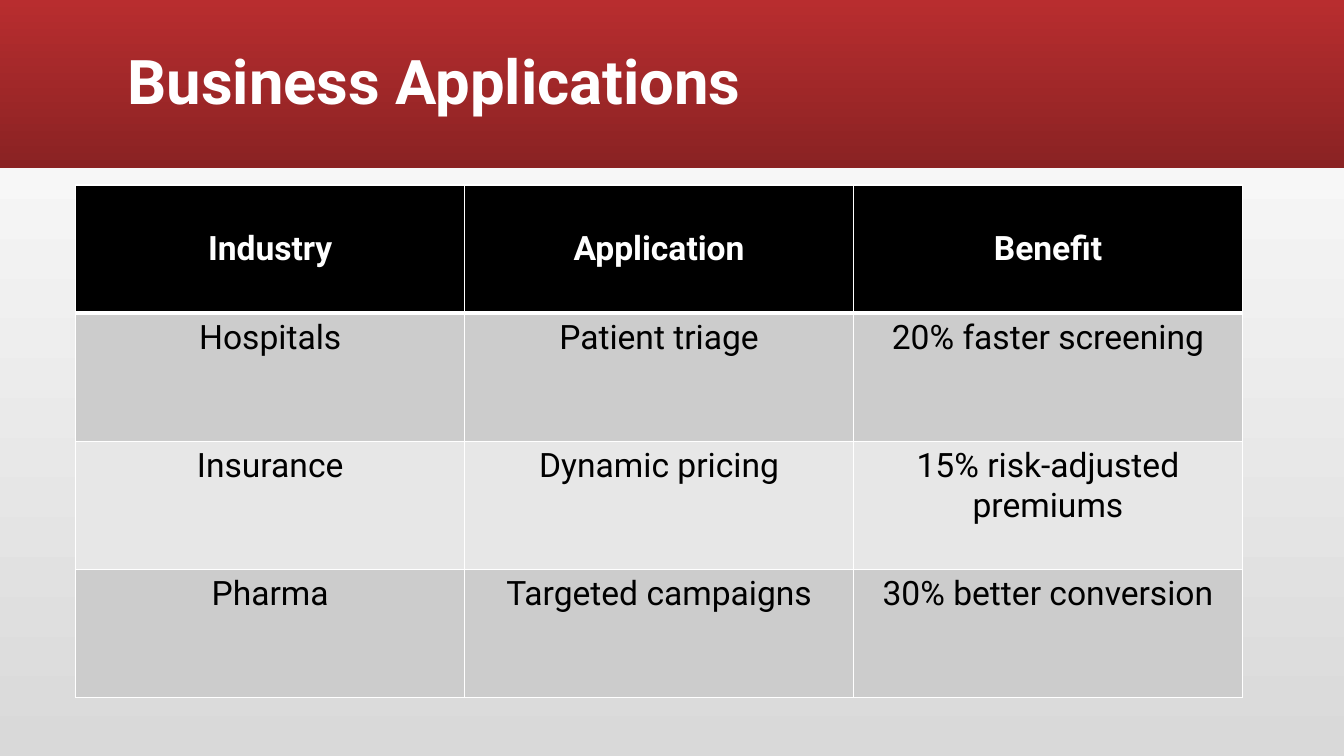
from lxml.etree import SubElement
from pptx import Presentation
from pptx.dml.color import RGBColor
from pptx.enum.shapes import MSO_SHAPE
from pptx.enum.text import MSO_ANCHOR, PP_ALIGN
from pptx.oxml.ns import qn
from pptx.util import Cm, Pt

TITLE = "Business Applications"
ROWS = [
    ("Industry", "Application", "Benefit"),
    ("Hospitals", "Patient triage", "20% faster screening"),
    ("Insurance", "Dynamic pricing", "15% risk-adjusted premiums"),
    ("Pharma", "Targeted campaigns", "30% better conversion"),
]
HEAD, BANDS = "000000", ("CCCCCC", "E7E7E7")
WIDE, HIGH, BAND = Cm(33.87), Cm(19.05), Cm(4.23)
TITLE_BOX = Cm(2.96), Cm(0.28), Cm(27.94), Cm(3.68)
LEFT, TOP, COL, ROW = Cm(1.91), Cm(4.66), Cm(9.8), Cm(3.23)
TITLE_FONT = {"name": "Roboto", "size": Pt(44), "bold": True}
HEAD_FONT = {"name": "Roboto", "size": Pt(24), "bold": True}
BODY_FONT = {**HEAD_FONT, "bold": False}


def paint(part, shade):
    """Give a fill or a font one solid colour."""
    fill = getattr(part, "fill", part)
    fill.solid()
    fill.fore_color.rgb = RGBColor.from_string(shade)


def blend(fill, shades, angle):
    fill.gradient()
    fill.gradient_angle = angle
    for stop, shade, place in zip(fill.gradient_stops, shades, (0, 1)):
        stop.color.rgb = RGBColor.from_string(shade)
        stop.position = place


def write(frame, text, style, shade, align):
    line = frame.paragraphs[0]
    line.alignment = align
    run = line.add_run()
    run.text = text
    for key, value in style.items():
        setattr(run.font, key, value)
    paint(run.font, shade)
    return line


def edge(cell, side, points):
    """Draw one white border; call before the cell is filled."""
    props = cell._tc.get_or_add_tcPr()
    line = SubElement(props, qn(f"a:{side}"), w=str(Pt(points)))
    solid = SubElement(line, qn("a:solidFill"))
    SubElement(solid, qn("a:srgbClr"), val="FFFFFF")


def main():
    deck = Presentation()
    deck.slide_width, deck.slide_height = WIDE, HIGH
    slide = deck.slides.add_slide(deck.slide_layouts[6])
    blend(slide.background.fill, ("D9D9D9", "FFFFFF"), 90)

    band = slide.shapes.add_shape(MSO_SHAPE.RECTANGLE, 0, 0, WIDE, BAND)
    band.shadow.inherit = False
    band.line.fill.background()
    blend(band.fill, ("B82D2F", "8A2223"), 270)

    frame = slide.shapes.add_textbox(*TITLE_BOX).text_frame
    frame.word_wrap = True
    frame.vertical_anchor = MSO_ANCHOR.MIDDLE
    title = write(frame, TITLE, TITLE_FONT, "FFFFFF", PP_ALIGN.LEFT)
    title.line_spacing = 0.9

    rows, cols = len(ROWS), len(ROWS[0])
    table = slide.shapes.add_table(
        rows, cols, LEFT, TOP, COL * cols, ROW * rows).table
    for col in table.columns:
        col.width = COL
    for r, texts in enumerate(ROWS):
        table.rows[r].height = ROW
        head = r == 0
        for c, text in enumerate(texts):
            cell = table.cell(r, c)
            for side in ("lnL", "lnR", "lnT", "lnB"):
                heavy = (r, side) in ((0, "lnB"), (1, "lnT"))
                edge(cell, side, 3 if heavy else 1)
            paint(cell, HEAD if head else BANDS[(r - 1) % 2])
            cell.vertical_anchor = MSO_ANCHOR.MIDDLE if head else MSO_ANCHOR.TOP
            write(cell.text_frame, text, HEAD_FONT if head else BODY_FONT,
                  "FFFFFF" if head else "000000", PP_ALIGN.CENTER)

    deck.save("out.pptx")


if __name__ == "__main__":
    main()
